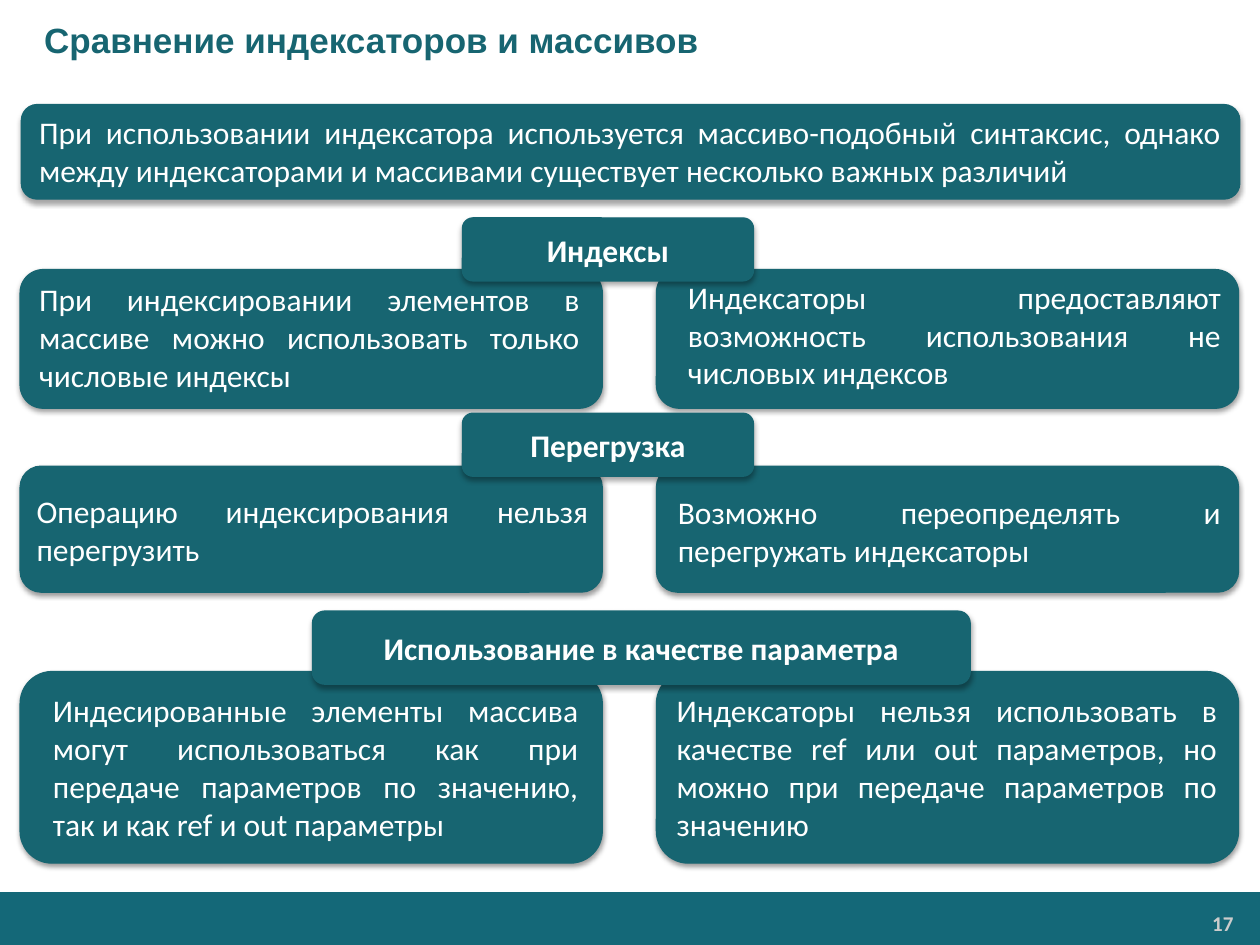
from lxml import etree
from pptx import Presentation
from pptx.dml.color import RGBColor
from pptx.enum.shapes import MSO_SHAPE
from pptx.enum.text import MSO_ANCHOR, PP_ALIGN
from pptx.oxml.ns import qn
from pptx.util import Inches, Pt

RECTANGLE, ROUNDED = MSO_SHAPE.RECTANGLE, MSO_SHAPE.ROUNDED_RECTANGLE
MIDDLE = MSO_ANCHOR.MIDDLE
LEFT, CENTER, RIGHT, JUSTIFY = PP_ALIGN.LEFT, PP_ALIGN.CENTER, PP_ALIGN.RIGHT, PP_ALIGN.JUSTIFY
TEAL = RGBColor(0x17, 0x65, 0x71)
FOOTER_TEAL = RGBColor(0x14, 0x68, 0x78)
WHITE = RGBColor(0xFF, 0xFF, 0xFF)
GREY = RGBColor(0xCC, 0xCC, 0xCC)

INTRO = ("При использовании индексатора используется массиво-подобный синтаксис, однако "
         "между индексаторами и массивами существует несколько важных различий")
CARD_LEFTS, CARD_WIDTH = (0.16, 5.21), 4.62

# Each text is (wording, left, top, width, height) in inches.
COMPARISONS = [
    {"heading": "Индексы", "tab": (3.67, 1.73, 2.31, 0.5), "top": 2.14, "height": 1.1,
     "texts": [("При индексировании элементов в массиве можно использовать только числовые индексы",
                0.31, 2.22, 4.29, 0.91),
               ("Индексаторы предоставляют возможность использования не числовых индексов",
                5.46, 2.2, 4.23, 0.91)]},
    {"heading": "Перегрузка", "tab": (3.67, 3.28, 2.31, 0.5), "top": 3.7, "height": 1,
     "texts": [("Операцию индексирования нельзя перегрузить", 0.29, 3.9, 4.38, 0.61),
               ("Возможно переопределять и перегружать индексаторы", 5.38, 3.91, 4.31, 0.61)]},
    {"heading": "Использование в качестве параметра", "tab": (2.48, 4.85, 5.22, 0.58),
     "top": 5.33, "height": 1.52,
     "texts": [("Индесированные элементы массива могут использоваться как при передаче "
                "параметров по значению, так и как ref и out параметры",
                0.42, 5.48, 4.17, 1.21),
               ("Индексаторы нельзя использовать в качестве ref или out параметров, но можно "
                "при передаче параметров по значению", 5.37, 5.48, 4.29, 1.21)]},
]


def style_para(para, text, size, color, align, font="Calibri", bold=False):
    """Write a paragraph and set its font."""
    para.text = text
    para.alignment = align
    para.font.name = font
    para.font.size = Pt(size)
    para.font.bold = bold
    para.font.color.rgb = color


def add_block(shapes, kind, box, color, line_width=None):
    """Add a solid shape without a shadow."""
    block = shapes.add_shape(kind, *(Inches(length) for length in box))
    block.shadow.inherit = False
    block.fill.solid()
    block.fill.fore_color.rgb = color
    if line_width is None:
        block.line.fill.background()
    else:
        block.line.color.rgb = color
        block.line.width = Pt(line_width)
    return block


def add_card(shapes, box, distance=1.6, opacity=38):
    """Add a rounded card with a soft shadow below it."""
    card = add_block(shapes, ROUNDED, box, TEAL, 0.75)
    effects = card._element.spPr.find(qn("a:effectLst"))
    shadow = etree.SubElement(effects, qn("a:outerShdw"), blurRad=str(Pt(3)),
                              dist=str(Pt(distance)), dir="5400000", rotWithShape="0")
    color = etree.SubElement(shadow, qn("a:srgbClr"), val="000000")
    etree.SubElement(color, qn("a:alpha"), val=str(opacity * 1000))


def add_caption(shapes, box, text, align=JUSTIFY, bold=False):
    """Add the text area that lies on a card."""
    frame = add_block(shapes, RECTANGLE, box, TEAL, 1).text_frame
    frame.word_wrap = True
    frame.vertical_anchor = MIDDLE
    frame.margin_left = frame.margin_right = frame.margin_top = frame.margin_bottom = 0
    style_para(frame.paragraphs[0], text, 18, WHITE, align, bold=bold)


def add_title(page, box, text):
    """Place and format the title placeholder."""
    title = page.shapes.title
    title.left, title.top, title.width, title.height = (Inches(length) for length in box)
    title.text_frame.vertical_anchor = MIDDLE
    para = title.text_frame.paragraphs[0]
    style_para(para, text, 20, TEAL, LEFT, "Arial", True)
    para._p.get_or_add_pPr().set("marL", str(Inches(0.25)))


def add_footer(page, box, number):
    """Add the bottom band with the page number."""
    left, top, width, height = box
    add_block(page.shapes, RECTANGLE, box, FOOTER_TEAL)
    frame = page.shapes.add_textbox(Inches(left + width - 1.78), Inches(top + 0.11),
                                    Inches(1.63), Inches(0.28)).text_frame
    frame.word_wrap = True
    frame.margin_left = frame.margin_right = Inches(0.07)
    frame.margin_top = frame.margin_bottom = Inches(0.04)
    style_para(frame.paragraphs[0], number, 12, GREY, RIGHT, bold=True)


def add_intro(page, box):
    """Add the full-width introduction."""
    left, top, width, height = box
    shapes = page.shapes.add_group_shape().shapes
    add_card(shapes, box, 1.8, 35)
    add_caption(shapes, (left + 0.14, top + 0.06, width - 0.29, 0.61), INTRO)


def add_comparison(page, heading, tab, top, height, texts):
    """Add two cards with a heading tab over their upper edges."""
    shapes = page.shapes.add_group_shape().shapes
    for card_left, (text, *text_box) in zip(CARD_LEFTS, texts):
        add_card(shapes, (card_left, top, CARD_WIDTH, height))
        add_caption(shapes, text_box, text)
    tab_left, tab_top, tab_width, tab_height = tab
    add_card(shapes, tab, 1.8, 35)
    heading_box = (tab_left + 0.03, tab_top + (tab_height - 0.3) / 2, tab_width - 0.06, 0.3)
    add_caption(shapes, heading_box, heading, CENTER, True)


def main():
    """Build and save the deck."""
    deck = Presentation()
    deck.slide_width, deck.slide_height = Inches(10), Inches(7.5)
    page = deck.slides.add_slide(deck.slide_layouts[5])
    add_footer(page, (0, 7.08, 10.01, 0.43), "17")
    add_title(page, (0, 0, 10, 0.63), "Сравнение индексаторов и массивов")
    add_intro(page, (0.17, 0.83, 9.67, 0.75))
    for comparison in COMPARISONS:
        add_comparison(page, **comparison)
    deck.save("out.pptx")


if __name__ == "__main__":
    main()
